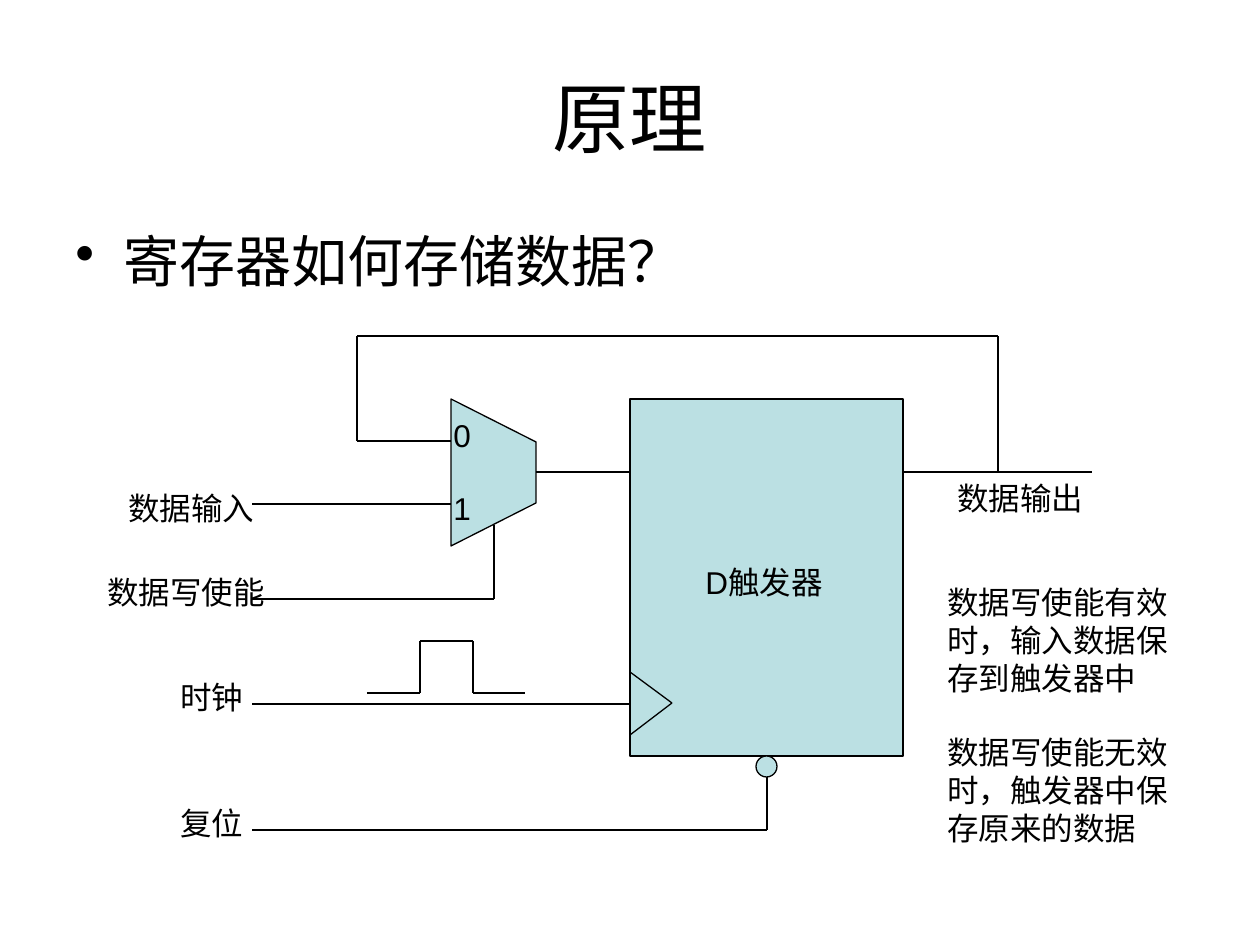
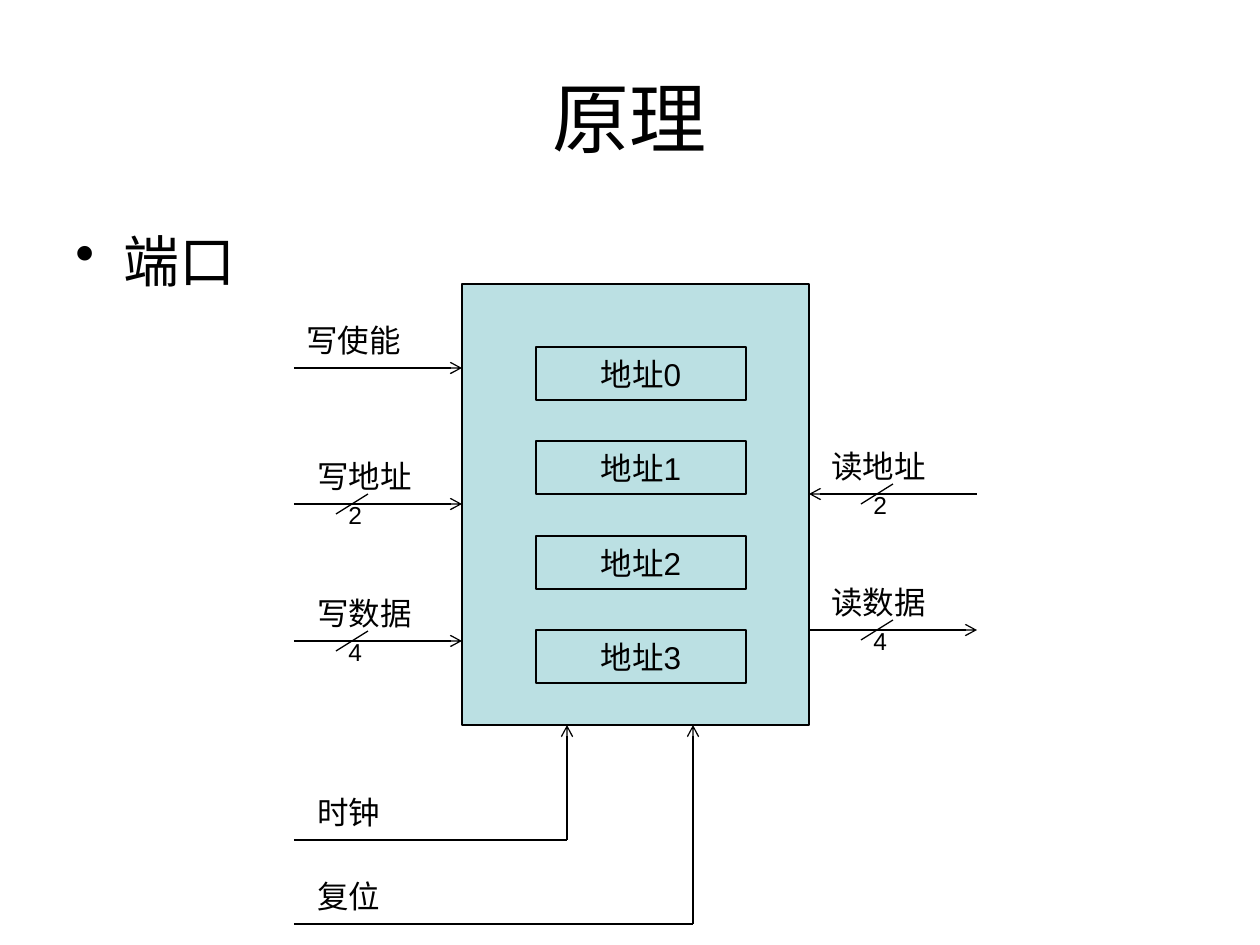
from dataclasses import dataclass
from itertools import pairwise

from pptx import Presentation
from pptx import util as u
from pptx.dml.color import RGBColor
from pptx.enum import shapes, text
from pptx.oxml import parse_xml
from pptx.oxml.ns import nsdecls, qn


@dataclass(frozen=True)
class Theme:
    """Shared colours, font, type sizes and line width."""
    ink: RGBColor = RGBColor.from_string("000000")
    fill: RGBColor = RGBColor.from_string("BBE0E3")
    font: str = "Arial"
    title: int = 44
    body: int = 32
    label: int = 18
    small: int = 14
    line: float = 0.74


T = Theme()
SCALE = 914400 / 126
LABEL_H = 50
LABEL_RISE = 53


def px(n):
    """Turn pixels into EMU."""
    return u.Emu(round(n * SCALE))


def place(box, x, y):
    """Move a point of a region onto the slide."""
    return box[0] + x, box[1] + y


def write(tf, *lines, size=T.label, align=text.PP_ALIGN.LEFT,
          anchor=text.MSO_ANCHOR.TOP, wrap=True, before=0, gap=0, bullet=False):
    """Fill a text frame with one paragraph per line."""
    tf.word_wrap = wrap
    tf.vertical_anchor = anchor
    for i, line in enumerate(lines):
        p = tf.add_paragraph() if i else tf.paragraphs[0]
        p.alignment = align
        p.space_before = u.Pt(gap if i else before)
        r = p.add_run()
        r.text = line
        r.font.size = u.Pt(size)
        r.font.name = T.font
        r.font.color.rgb = T.ink
        if bullet:
            pPr = p._p.get_or_add_pPr()
            pPr.set("marL", str(px(48)))
            pPr.set("indent", str(px(-48)))
            pPr.append(parse_xml(f'<a:buChar {nsdecls("a")} char="•"/>'))


def label(s, x, y, w, *lines, h=LABEL_H, **fmt):
    """Add a text box."""
    sp = s.shapes.add_textbox(px(x), px(y), px(w), px(h))
    write(sp.text_frame, *lines, **fmt)
    return sp


def paint(sp):
    """Give a shape the shared fill and outline."""
    sp.shadow.inherit = False
    sp.fill.solid()
    sp.fill.fore_color.rgb = T.fill
    sp.line.color.rgb = T.ink
    sp.line.width = u.Pt(T.line)
    return sp


def block(s, x, y, w, h, kind=shapes.MSO_SHAPE.RECTANGLE):
    """Add a painted preset shape."""
    return paint(s.shapes.add_shape(kind, px(x), px(y), px(w), px(h)))


def wire(s, box, *points, arrow=False):
    """Join points with straight lines, with an optional arrow at the end."""
    for start, end in pairwise([place(box, *pt) for pt in points]):
        sp = s.shapes.add_connector(shapes.MSO_CONNECTOR.STRAIGHT,
                                    *map(px, start + end))
        sp.line.color.rgb = T.ink
        sp.line.width = u.Pt(T.line)
        sp._element.spPr.append(parse_xml(f'<a:effectLst {nsdecls("a")}/>'))
    if arrow:
        ln = sp._element.spPr.find(qn("a:ln"))
        ln.append(parse_xml(f'<a:tailEnd {nsdecls("a")} type="arrow"/>'))


def new_slide(prs, title, point):
    """Add a slide with its title and bullet."""
    s = prs.slides.add_slide(prs.slide_layouts[6])
    label(s, 63, 38, 1134, title, h=157, size=T.title,
          align=text.PP_ALIGN.CENTER, anchor=text.MSO_ANCHOR.MIDDLE)
    label(s, 63, 220, 1134, point, h=126, size=T.body, before=8, bullet=True)
    return s


def multiplexer(s, box):
    """Draw the trapezoid selector with its two input numbers."""
    x, y, w, h = box
    inset = 43
    fb = s.shapes.build_freeform(x, y, scale=SCALE)
    fb.add_line_segments([(x + w, y + inset), (x + w, y + h - inset),
                          (x, y + h)], close=True)
    paint(fb.convert_to_shape())
    for i in range(2):
        label(s, x - 10, y + 11 + 73 * i, 32, str(i))


def flip_flop(s, box):
    """Draw the flip-flop with its clock notch and reset bubble."""
    x, y, w, h = box
    block(s, *box)
    wire(s, box, (0, 273), (42, 304), (0, 336))
    block(s, x + w // 2 - 10, y + h, 21, 21, shapes.MSO_SHAPE.OVAL)
    label(s, x + 63, y + 158, 200, "D触发器")


def register_circuit(s, box):
    """Draw the one-bit register with its wires, labels and note."""
    flip_flop(s, (*place(box, 540, 69), 273, 357))
    multiplexer(s, (*place(box, 361, 69), 85, 147))
    for points in (
        [(677, 447), (677, 500), (162, 500)],
        [(162, 374), (540, 374)],
        [(446, 142), (540, 142)],
        [(813, 142), (1002, 142)],
        [(908, 142), (908, 6), (267, 6), (267, 111), (361, 111)],
        [(162, 174), (361, 174)],
        [(162, 269), (404, 269), (404, 195)],
        [(277, 363), (330, 363), (330, 311), (383, 311), (383, 363), (435, 363)],
    ):
        wire(s, box, *points)
    for x, y, w, name in (
        (26, 153, 158, "数据输入"),
        (5, 237, 189, "数据写使能"),
        (78, 342, 116, "时钟"),
        (78, 468, 116, "复位"),
        (855, 143, 158, "数据输出"),
    ):
        label(s, *place(box, x, y), w, name)
    label(s, *place(box, 845, 247), 273,
          "数据写使能有效时,输入数据保存到触发器中".replace(",", "，"),
          "数据写使能无效时,触发器中保存原来的数据".replace(",", "，"),
          h=277, gap=21)


def port(s, box, start, end, y, name, name_x, bits=None, slash_x=0):
    """Draw a horizontal port arrow with its name and bus width."""
    wire(s, box, (start, y), (end, y), arrow=True)
    label(s, *place(box, name_x, y - LABEL_RISE), 158, name)
    if bits:
        wire(s, box, (slash_x, y + 10), (slash_x + 32, y - 10))
        label(s, *place(box, slash_x, y - 10), 39, bits, h=43,
              size=T.small, wrap=False)


def memory_ports(s, box):
    """Draw the register bank with its cells and ports."""
    left, right, bottom = 168, 515, 441
    block(s, *place(box, left, 0), right - left, bottom)
    for i in range(4):
        sp = block(s, *place(box, 242, 63 + i * 189 // 2), 210, 53)
        write(sp.text_frame, f"地址{i}", align=text.PP_ALIGN.CENTER,
              anchor=text.MSO_ANCHOR.MIDDLE)
    port(s, box, 0, left, 84, "写使能", 0)
    port(s, box, 0, left, 220, "写地址", 11, "2", 42)
    port(s, box, 0, left, 357, "写数据", 11, "4", 42)
    port(s, box, box[2], right, 210, "读地址", 525, "2", 567)
    port(s, box, right, box[2], 346, "读数据", 525, "4", 567)
    for x, y, name in ((273, 556, "时钟"), (399, 640, "复位")):
        wire(s, box, (0, y), (x, y), (x, bottom), arrow=True)
        label(s, *place(box, 11, y - LABEL_RISE), 158, name)


def main():
    """Build and save both slides."""
    prs = Presentation()
    prs.slide_width, prs.slide_height = px(1260), px(945)
    register_circuit(new_slide(prs, "原理", "寄存器如何存储数据？"),
                     (90, 330, 1118, 524))
    memory_ports(new_slide(prs, "原理", "端口"), (294, 284, 683, 641))
    prs.save("out.pptx")


main()
